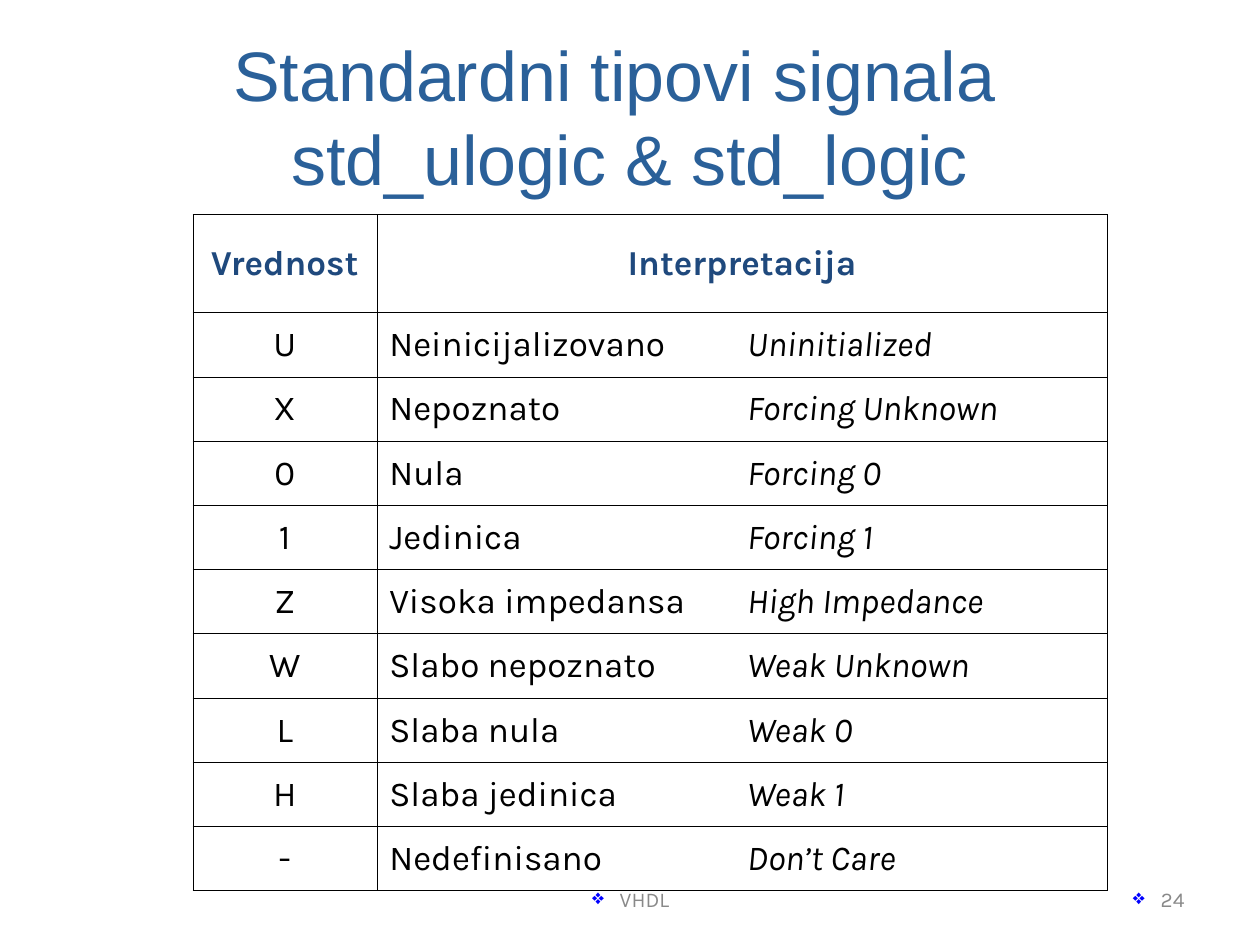
from dataclasses import dataclass

from lxml.etree import SubElement
from pptx import Presentation
from pptx.dml.color import RGBColor as RGB
from pptx.enum.text import MSO_ANCHOR as Anchor, PP_ALIGN as Align
from pptx.oxml.ns import qn
from pptx.util import Inches, Pt


@dataclass(frozen=True)
class Theme:
    title_font: str = "Arial"
    body_font: str = "Karla"
    title_color: str = "2A6099"
    header_color: str = "1F497D"
    text_color: str = "000000"
    footer_color: str = "898989"
    bullet_color: str = "0000FF"
    title_size: int = 40
    table_size: int = 20
    footer_size: int = 12


theme = Theme()


def style(paragraph, font, size, color, align, spacing=1.0, before=0):
    paragraph.alignment = align
    paragraph.line_spacing = spacing
    paragraph.space_before, paragraph.space_after = Pt(before), Pt(0.3)
    paragraph.font.name, paragraph.font.size = font, Pt(size)
    paragraph.font.color.rgb = RGB.from_string(color)


def style_cell(cell, color, align):
    cell.fill.background()
    cell.vertical_anchor = Anchor.MIDDLE
    properties = cell._tc.get_or_add_tcPr()
    for index, side in enumerate(("lnL", "lnR", "lnT", "lnB")):
        line = properties.makeelement(qn(f"a:{side}"), {"w": str(Pt(0.23))})
        fill = SubElement(line, qn("a:solidFill"))
        SubElement(fill, qn("a:srgbClr"), val=theme.text_color)
        properties.insert(index, line)
    style(cell.text_frame.paragraphs[0], theme.body_font, theme.table_size, color, align, 1.02)


presentation = Presentation()
presentation.slide_width, presentation.slide_height = Inches(10), Inches(7.5)
slide = presentation.slides.add_slide(presentation.slide_layouts[5])

# Title, with a hanging indent that shifts the second line
title = slide.shapes.title
title.left, title.top = Inches(1.5), Inches(0.25)
title.width, title.height = Inches(6.75), Inches(1.33)
title.text_frame.vertical_anchor = Anchor.MIDDLE
title.text_frame.text = "Standardni tipovi signala\vstd_ulogic & std_logic"
paragraph = title.text_frame.paragraphs[0]
properties = paragraph._p.get_or_add_pPr()
properties.set("marL", str(Inches(0.24)))
properties.set("indent", str(Inches(-0.24)))
style(paragraph, theme.title_font, theme.title_size, theme.title_color, Align.CENTER)

# Table of signal values
signals = [
    ("U", "Neinicijalizovano", "Uninitialized"),
    ("X", "Nepoznato", "Forcing Unknown"),
    ("0", "Nula", "Forcing 0"),
    ("1", "Jedinica", "Forcing 1"),
    ("Z", "Visoka impedansa", "High Impedance"),
    ("W", "Slabo nepoznato", "Weak Unknown"),
    ("L", "Slaba nula", "Weak 0"),
    ("H", "Slaba jedinica", "Weak 1"),
    ("-", "Nedefinisano", "Don’t Care"),
]
table = slide.shapes.add_table(len(signals) + 1, 2, Inches(1.53), Inches(1.7),
                               Inches(7.26), Inches(5.38)).table
table.first_row = table.horz_banding = False
table.columns[0].width, table.columns[1].width = Inches(1.46), Inches(5.8)
for row in table.rows:
    row.height = Inches(0.51)
table.rows[0].height = Inches(0.78)

for column, heading in enumerate(("Vrednost", "Interpretacija")):
    cell = table.cell(0, column)
    cell.text = heading
    style_cell(cell, theme.header_color, Align.CENTER)
    cell.text_frame.paragraphs[0].font.bold = True

for row, (value, meaning, english) in enumerate(signals, start=1):
    value_cell, meaning_cell = table.cell(row, 0), table.cell(row, 1)
    value_cell.text = value
    style_cell(value_cell, theme.text_color, Align.CENTER)

    paragraph = meaning_cell.text_frame.paragraphs[0]
    tabs = SubElement(paragraph._p.get_or_add_pPr(), qn("a:tabLst"))
    SubElement(tabs, qn("a:tab"), pos=str(Inches(2.84)), algn="l")
    paragraph.add_run().text = f"{meaning}\t"
    english_run = paragraph.add_run()
    english_run.text = english
    english_run.font.italic = True
    style_cell(meaning_cell, theme.text_color, Align.LEFT)

# Footer and slide number
for text, left, width, align in (("VHDL", 3.42, 3.17, Align.CENTER),
                                 ("24", 7.17, 2.33, Align.RIGHT)):
    box = slide.shapes.add_textbox(Inches(left), Inches(6.95), Inches(width), Inches(0.4))
    frame = box.text_frame
    frame.word_wrap = True
    frame.vertical_anchor = Anchor.MIDDLE
    frame.text = text
    paragraph = frame.paragraphs[0]
    properties = paragraph._p.get_or_add_pPr()
    properties.set("marL", str(Inches(0.22)))
    properties.set("indent", str(Inches(-0.22)))
    bullet_color = SubElement(properties, qn("a:buClr"))
    SubElement(bullet_color, qn("a:srgbClr"), val=theme.bullet_color)
    SubElement(properties, qn("a:buChar"), char="❖")
    style(paragraph, theme.body_font, theme.footer_size, theme.footer_color, align, 0.9)

presentation.save("out.pptx")
